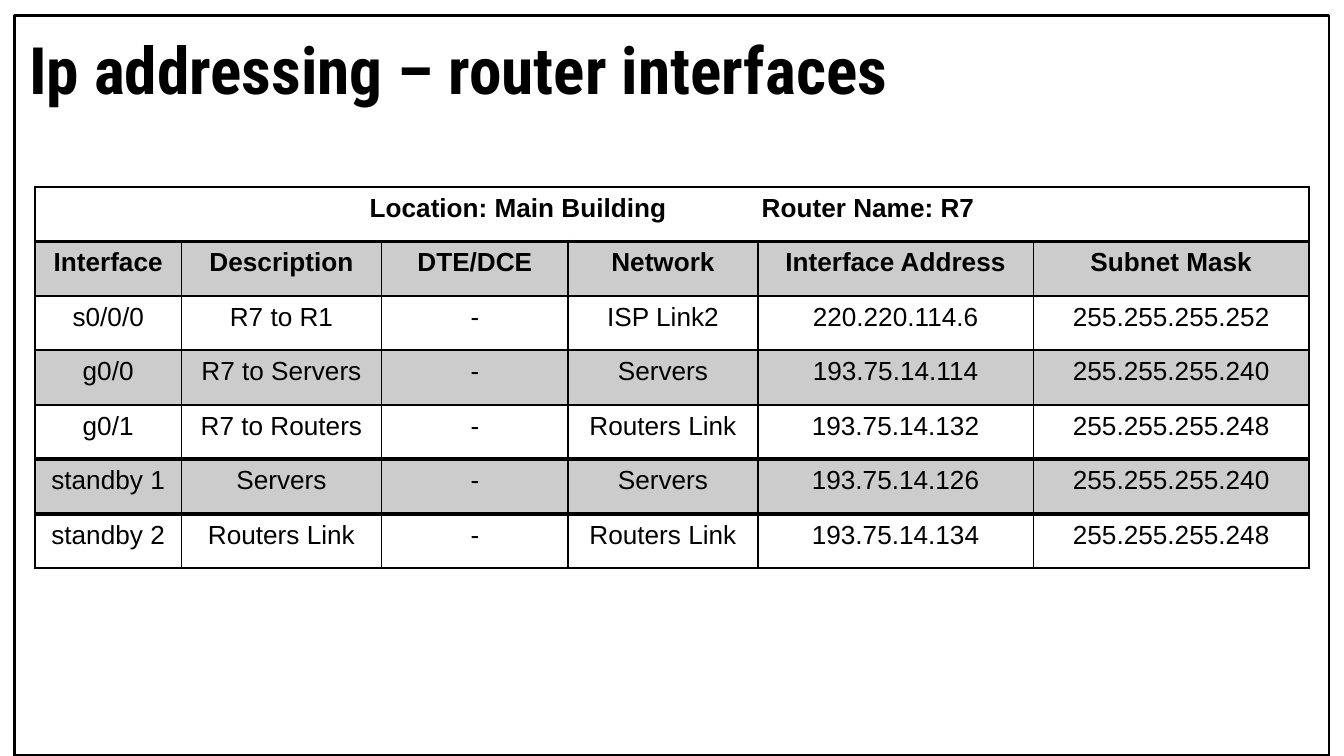
import lxml.etree
import pptx
import pptx.dml.color
import pptx.enum.shapes
import pptx.enum.text
import pptx.oxml.ns
import pptx.util

Cm = pptx.util.Cm
Pt = pptx.util.Pt
qn = pptx.oxml.ns.qn

COLORS = {"ink": "000000", "paper": "FFFFFF"}
TITLE_FONT = "Roboto Condensed"
BODY_FONT = "Arial"

COLUMN_WIDTHS = [2.77, 3.78, 3.53, 3.58, 5.21, 5.21]
ROW_HEIGHT = 1.03
HEADERS = ["Interface", "Description", "DTE/DCE", "Network",
           "Interface Address", "Subnet Mask"]
INTERFACES = [
    ["s0/0/0", "R7 to R1", "-", "ISP Link2", "220.220.114.6", "255.255.255.252"],
    ["g0/0", "R7 to Servers", "-", "Servers", "193.75.14.114", "255.255.255.240"],
    ["g0/1", "R7 to Routers", "-", "Routers Link", "193.75.14.132", "255.255.255.248"],
    ["standby 1", "Servers", "-", "Servers", "193.75.14.126", "255.255.255.240"],
    ["standby 2", "Routers Link", "-", "Routers Link", "193.75.14.134", "255.255.255.248"],
]
# Rule widths in points, keyed by the number of rows above the rule
RULES = {1: 2, 5: 2.25, 6: 2.25}


def rgb(name):
    return pptx.dml.color.RGBColor.from_string(COLORS[name])


class SlideBuilder:
    def __init__(self, prs):
        self.s = prs.slides.add_slide(prs.slide_layouts[6])
        self.s.background.fill.solid()
        self.s.background.fill.fore_color.rgb = rgb("paper")

    def style(self, p, font, size, bold):
        p.font.name = font
        p.font.size = Pt(size)
        p.font.bold = bold
        p.font.color.rgb = rgb("ink")

    def frame(self, x, y, w, h):
        sp = self.s.shapes.add_shape(pptx.enum.shapes.MSO_SHAPE.RECTANGLE,
                                     Cm(x), Cm(y), Cm(w), Cm(h))
        sp.shadow.inherit = False
        sp.fill.background()
        sp.line.color.rgb = rgb("ink")
        sp.line.width = Pt(1.5)

    def title(self, text, x, y, w, h):
        tf = self.s.shapes.add_textbox(Cm(x), Cm(y), Cm(w), Cm(h)).text_frame
        tf.word_wrap = True
        tf.margin_left = tf.margin_right = Cm(0.25)
        tf.margin_top = tf.margin_bottom = Cm(0.25)
        p = tf.paragraphs[0]
        p.text = text
        self.style(p, TITLE_FONT, 35, True)

    def table(self, x, y, rows, widths, row_height):
        table = self.s.shapes.add_table(
            len(rows), len(widths), Cm(x), Cm(y),
            Cm(sum(widths)), Cm(row_height * len(rows))).table
        for column, width in zip(table.columns, widths):
            column.width = Cm(width)
        for i, values in enumerate(rows):
            table.rows[i].height = Cm(row_height)
            for j, text in enumerate(values):
                self.cell(table.cell(i, j), text, i)
        return table

    def cell(self, cell, text, row):
        p = cell.text_frame.paragraphs[0]
        p.text = text
        p.alignment = pptx.enum.text.PP_ALIGN.CENTER
        self.style(p, BODY_FONT, 14, row < 2)
        self.borders(cell, RULES.get(row, 1), RULES.get(row + 1, 1))
        # Every second row is shaded with translucent ink
        if row % 2:
            cell.fill.solid()
            cell.fill.fore_color.rgb = rgb("ink")
            color = cell._tc.tcPr.find(qn("a:solidFill"))[0]
            lxml.etree.SubElement(color, qn("a:alpha"), val="20000")
        else:
            cell.fill.background()

    def borders(self, cell, top, bottom):
        tcPr = cell._tc.get_or_add_tcPr()
        for side, width in (("L", 1), ("R", 1), ("T", top), ("B", bottom)):
            ln = lxml.etree.SubElement(tcPr, qn("a:ln" + side), w=str(int(Pt(width))))
            fill = lxml.etree.SubElement(ln, qn("a:solidFill"))
            lxml.etree.SubElement(fill, qn("a:srgbClr"), val=COLORS["ink"])

    def caption(self, table, left, right, gap):
        """Span the first row with two texts parted by one space, gap points wider."""
        table.cell(0, 0).merge(table.cell(0, len(table.columns) - 1))
        p = table.cell(0, 0).text_frame.paragraphs[0]
        for text in (left, " ", right):
            r = p.add_run()
            r.text = text
            if text == " ":
                r.font._element.set("spc", str(gap * 100))


def main():
    prs = pptx.Presentation()
    prs.slide_width, prs.slide_height = Cm(25.4), Cm(14.29)
    slide = SlideBuilder(prs)

    # Frame and title
    slide.frame(0.28, 0.3, 24.84, 13.99)
    slide.title("Ip addressing – router interfaces", 0.3, 0.3, 24.79, 1.75)

    # Router table
    rows = [[""] * len(HEADERS), HEADERS] + INTERFACES
    table = slide.table(0.66, 3.53, rows, COLUMN_WIDTHS, ROW_HEIGHT)
    slide.caption(table, "Location: Main Building", "Router Name: R7", 47)

    prs.save("out.pptx")


if __name__ == "__main__":
    main()
